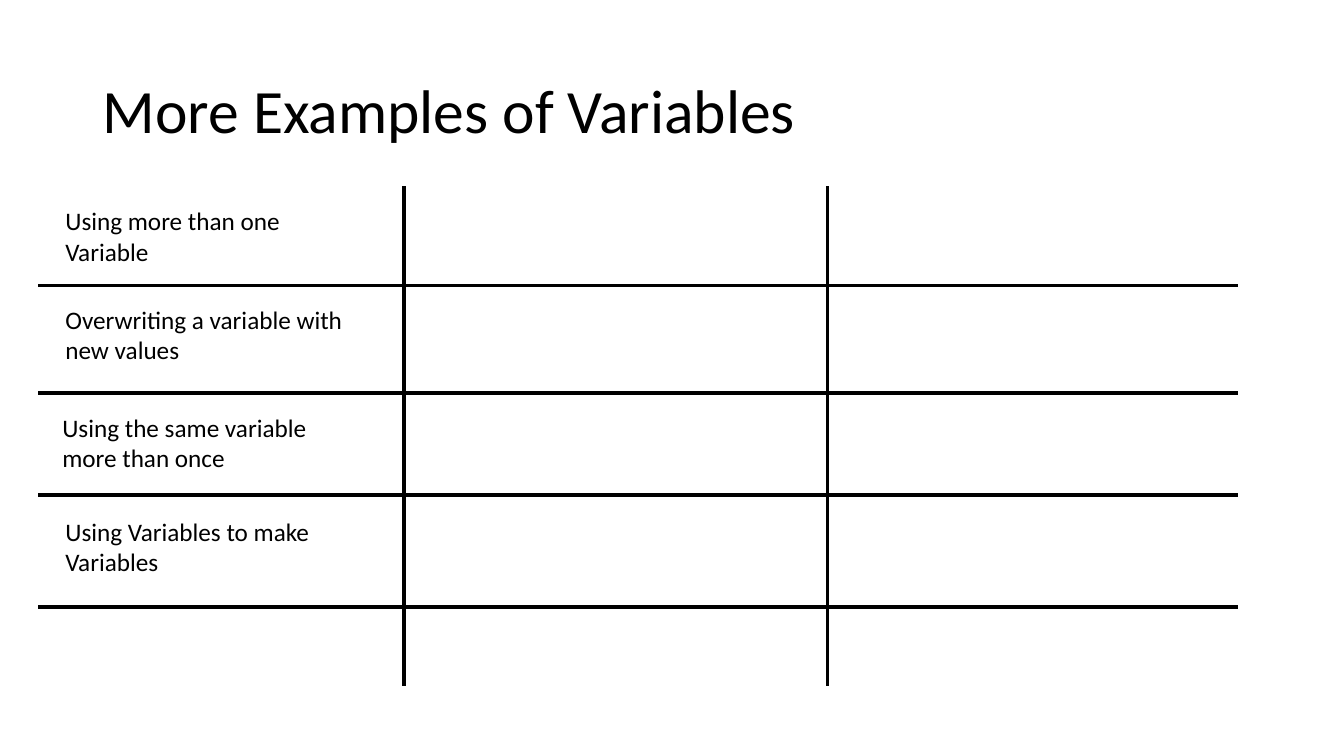
from dataclasses import dataclass

from lxml.etree import SubElement
from pptx import Presentation
from pptx.dml.color import RGBColor
from pptx.enum.shapes import MSO_CONNECTOR
from pptx.enum.text import MSO_ANCHOR, MSO_AUTO_SIZE, PP_ALIGN
from pptx.oxml.ns import qn
from pptx.util import Emu, Pt


@dataclass(frozen=True)
class Theme:
    """Colours, font, type sizes and line width of the slide."""

    ink: RGBColor = RGBColor(0, 0, 0)
    paper: RGBColor = RGBColor(255, 255, 255)
    font: str = "Calibri"
    title_size: Pt = Pt(44)
    label_size: Pt = Pt(18)
    rule_width: Pt = Pt(2.5)


THEME = Theme()
EMU_PER_PX = 9144
GRID_LEFT, GRID_RIGHT = 38, 1228
GRID_TOP, GRID_BOTTOM = 185, 681
COLUMN_RULES = (401, 821)
ROW_RULES = (283, 390, 491, 602)
LABEL_WIDTH, LABEL_HEIGHT = 295, 71
LABELS = (
    (55, 199, "Using more than one Variable"),
    (55, 297, "Overwriting a variable with new values"),
    (52, 404, "Using the same variable more than once"),
    (55, 507, "Using Variables to make Variables"),
)


def px(length):
    """Turn a length in px into EMU."""
    return Emu(length * EMU_PER_PX)


def set_format(target, values):
    """Set each attribute of the target from a dict of format values."""
    for name, value in values.items():
        setattr(target, name, value)


def write_text(shape, text, size, frame_format, paragraph_format):
    """Put one formatted paragraph into a shape."""
    set_format(shape.text_frame, frame_format)
    paragraph = shape.text_frame.paragraphs[0]
    set_format(paragraph, paragraph_format)
    run = paragraph.add_run()
    run.text = text
    set_format(run.font, {"name": THEME.font, "size": size})
    run.font.color.rgb = THEME.ink


def add_title(slide, text):
    """Place and fill the title placeholder."""
    title = slide.shapes.title
    set_format(title, {"left": px(92), "top": px(40), "width": px(1150), "height": px(145)})
    write_text(
        title,
        text,
        THEME.title_size,
        {"vertical_anchor": MSO_ANCHOR.MIDDLE, "word_wrap": True, "auto_size": MSO_AUTO_SIZE.NONE},
        {"alignment": PP_ALIGN.LEFT, "line_spacing": 0.9},
    )


def add_label(slide, left, top, text):
    """Add a wrapped row label."""
    label = slide.shapes.add_textbox(px(left), px(top), px(LABEL_WIDTH), px(LABEL_HEIGHT))
    write_text(
        label,
        text,
        THEME.label_size,
        {"word_wrap": True, "auto_size": MSO_AUTO_SIZE.SHAPE_TO_FIT_TEXT},
        {"alignment": PP_ALIGN.LEFT},
    )


def add_rule(slide, *ends):
    """Add a straight grid line between two points without a shadow."""
    rule = slide.shapes.add_connector(MSO_CONNECTOR.STRAIGHT, *map(px, ends))
    rule.line.color.rgb = THEME.ink
    rule.line.width = THEME.rule_width
    SubElement(rule._element.spPr, qn("a:effectLst"))


def main():
    """Build and save the slide."""
    presentation = Presentation()
    set_format(presentation, {"slide_width": Emu(12192000), "slide_height": px(750)})
    slide = presentation.slides.add_slide(presentation.slide_layouts[5])
    slide.background.fill.solid()
    slide.background.fill.fore_color.rgb = THEME.paper
    add_title(slide, "More Examples of Variables")
    for x in COLUMN_RULES:
        add_rule(slide, x, GRID_TOP, x, GRID_BOTTOM)
    for y in ROW_RULES:
        add_rule(slide, GRID_LEFT, y, GRID_RIGHT, y)
    for label in LABELS:
        add_label(slide, *label)
    presentation.save("out.pptx")


if __name__ == "__main__":
    main()
